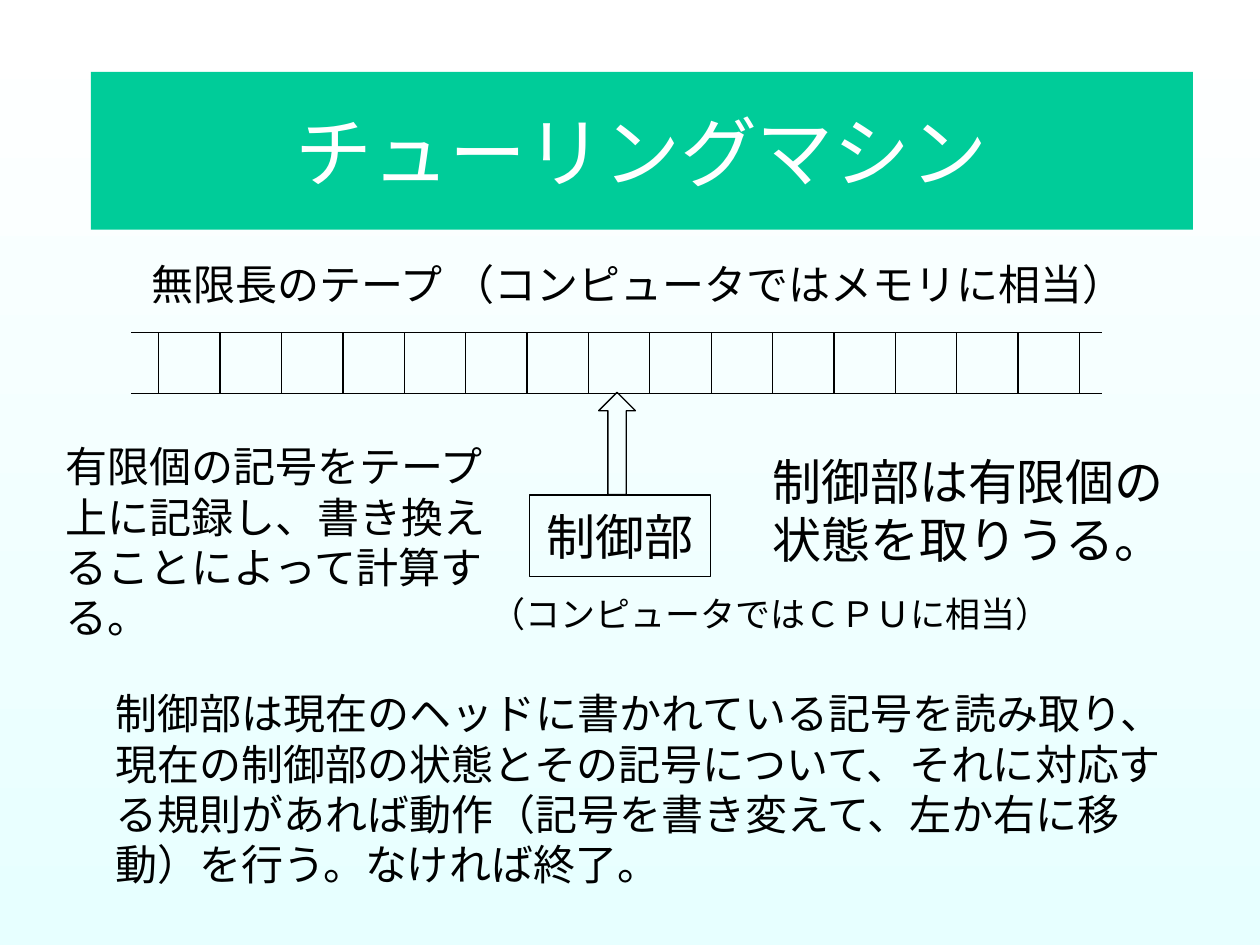
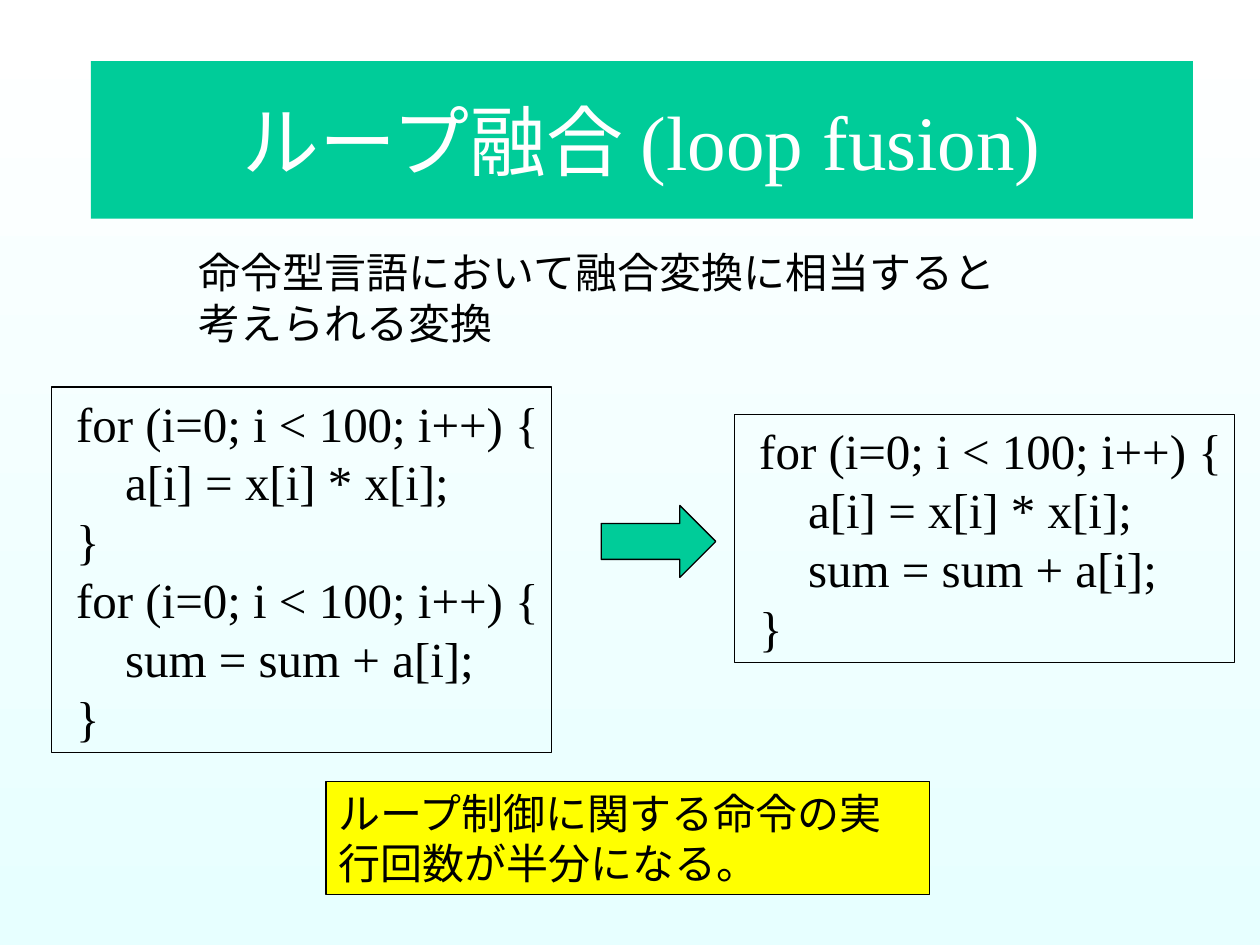
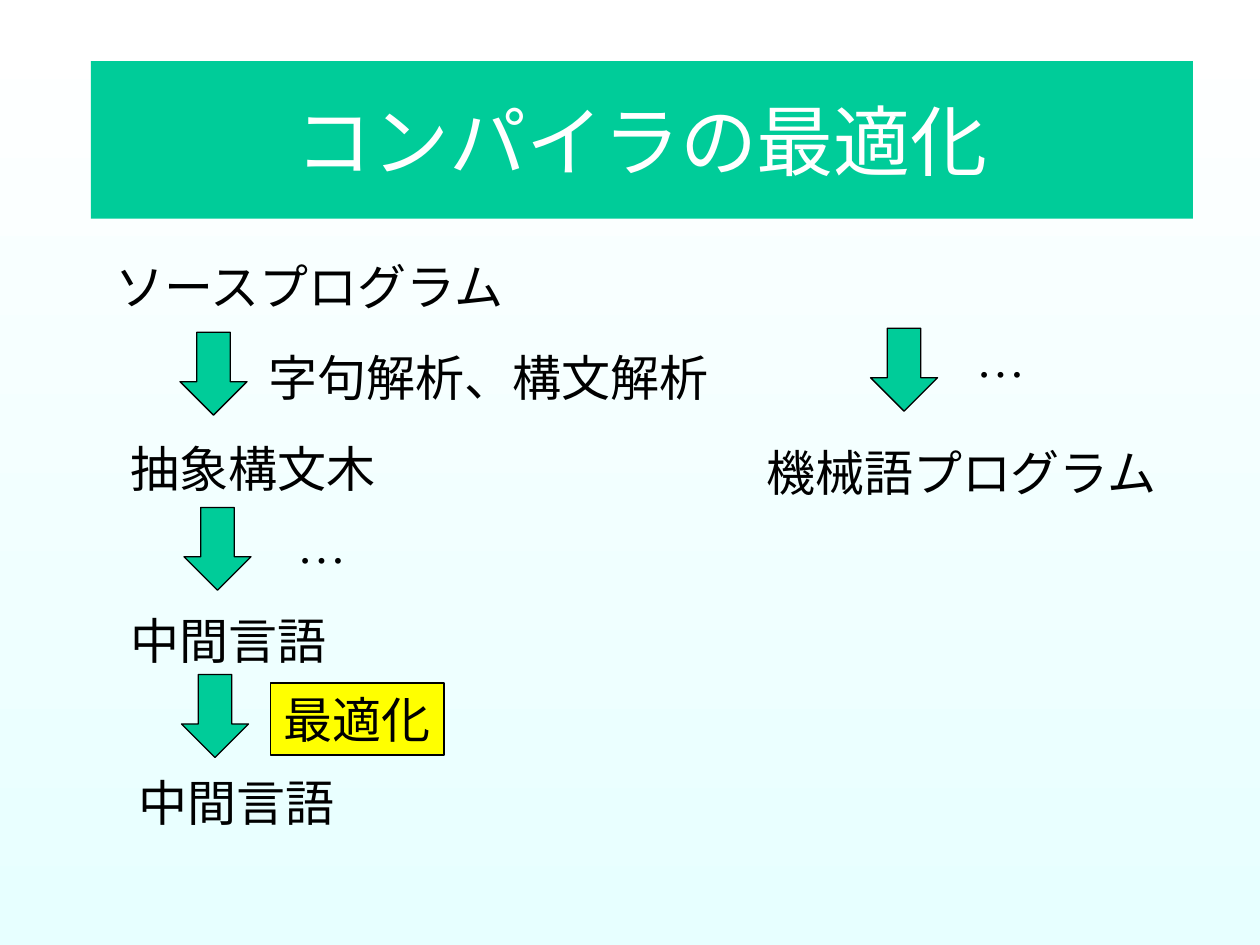
from lxml.etree import SubElement
from pptx import Presentation
from pptx.dml.color import RGBColor
from pptx.enum.lang import MSO_LANGUAGE_ID
from pptx.enum.shapes import MSO_CONNECTOR, MSO_SHAPE
from pptx.enum.text import MSO_ANCHOR, MSO_AUTO_SIZE, PP_ALIGN
from pptx.oxml.ns import qn
from pptx.util import Cm, Pt

FONT = "Times New Roman"
BLACK, WHITE, GREEN, YELLOW = "000000", "FFFFFF", "00CC99", "FFFF00"
BACKGROUND = (WHITE, "E7FFFF")
LINE_WIDTH = Pt(0.75)

# Content: lengths in cm; texts are (lines, (left, top, width, height), size, wrap)
MACHINE_TITLE = "チューリングマシン"
MACHINE_TEXTS = [
    (["制御部は現在のヘッドに書かれている記号を読み取り、現在の制御部の状態とその記号について、"
      "それに対応する規則があれば動作（記号を書き変えて、左か右に移動）を行う。なければ終了。"],
     (2.08, 13.74, 21.92, 4.32), 24, True),
    (["制御部は有限個の", "状態を取りうる。"], (15.32, 8.97, 8.45, 2.64), 28, False),
    (["有限個の記号をテープ上に記録し、書き換えることによって計算する。"],
     (1.07, 8.76, 9.32, 4.32), 24, True),
    (["（コンピュータではＣＰＵに相当）"], (9.63, 11.81, 11.9, 1.12), 20, False),
    (["無限長のテープ （コンピュータではメモリに相当）"], (2.8, 5.08, 20.25, 1.27), 24, False),
]
CONTROL_UNIT = (["制御部"], (10.67, 9.98, 3.66, 1.65), 28)
HEAD_ARROW = (12.07, 7.91, 0.74, 2.06)
TAPE_LEFT, TAPE_RIGHT, TAPE_TOP, TAPE_BOTTOM = 2.65, 22.21, 6.7, 7.93
FIRST_DIVIDER, LAST_DIVIDER, DIVIDERS = 3.2, 21.76, 16

FUSION_TITLE = "ループ融合 (loop fusion)"
LOOP_START, SQUARE, ADD, LOOP_END = (
    " for (i=0; i < 100; i++) {", "     a[i] = x[i] * x[i];", "     sum = sum + a[i];", " }")
FUSION_TEXT = (["命令型言語において融合変換に相当すると", "考えられる変換"],
               (3.76, 4.85, 16.65, 2.29), 24, False)
CODE_BOXES = [
    ([LOOP_START, SQUARE, LOOP_END, LOOP_START, ADD, LOOP_END], (1.04, 7.8, 10.08, 7.37)),
    ([LOOP_START, SQUARE, ADD, LOOP_END], (14.81, 8.36, 10.08, 5)),
]
FUSION_ARROW = (12.12, 10.19, 2.31, 1.45)
FUSION_NOTE = (["ループ制御に関する命令の実行回数が半分になる。"], (6.57, 15.75, 12.17, 2.29), 24, True)

COMPILER_TITLE = "コンパイラの最適化"
COMPILER_LABELS = [  # text, left, top, width
    ("ソースプログラム", 2.08, 5.05, 8.45),
    ("字句解析、構文解析", 5.16, 6.88, 9.45),
    ("抽象構文木", 2.39, 8.71, 5.5),
    ("…", 5.74, 10.24, 1.55),
    ("中間言語", 2.39, 12.19, 4.5),
    ("中間言語", 2.54, 15.44, 4.5),
    ("…", 19.43, 6.5, 1.55),
    ("機械語プログラム", 15.2, 8.79, 8.45),
]
STEP_ARROWS = [(3.63, 6.7), (3.71, 10.23), (3.66, 13.6), (17.55, 6.62)]
STEP_ARROW_SIZE = (1.35, 1.67)
OPTIMIZATION = (["最適化"], (5.46, 13.77, 3.49, 1.45), 28, False)


def color(value):
    return RGBColor.from_string(value)


def cm(*lengths):
    return [Cm(length) for length in lengths]


def write(shape, lines, size, font_color=BLACK, alignment=PP_ALIGN.LEFT):
    frame = shape.text_frame
    frame.text = "\n".join(lines)
    for paragraph in frame.paragraphs:
        paragraph.alignment = alignment
        paragraph.font.name = FONT
        paragraph.font.size = Pt(size)
        paragraph.font.color.rgb = color(font_color)
        paragraph.font.language_id = MSO_LANGUAGE_ID.JAPANESE


def fit(shape, wrap):
    shape.text_frame.word_wrap = wrap
    shape.text_frame.auto_size = MSO_AUTO_SIZE.SHAPE_TO_FIT_TEXT
    shape.text_frame.vertical_anchor = MSO_ANCHOR.TOP


def add_text(slide, lines, box, size, wrap):
    shape = slide.shapes.add_textbox(*cm(*box))
    write(shape, lines, size)
    fit(shape, wrap)


def add_outlined(slide, kind, box, fill=None):
    shape = slide.shapes.add_shape(kind, *cm(*box))
    shape.shadow.inherit = False
    if fill:
        shape.fill.solid()
        shape.fill.fore_color.rgb = color(fill)
    else:
        shape.fill.background()
    shape.line.color.rgb = color(BLACK)
    shape.line.width = LINE_WIDTH
    return shape


def add_text_box(slide, lines, box, size, wrap, fill=None):
    shape = add_outlined(slide, MSO_SHAPE.RECTANGLE, box, fill)
    write(shape, lines, size)
    fit(shape, wrap)


def add_line(slide, *ends):
    line = slide.shapes.add_connector(MSO_CONNECTOR.STRAIGHT, *cm(*ends))
    line.line.color.rgb = color(BLACK)
    line.line.width = LINE_WIDTH
    SubElement(line._element.spPr, qn("a:effectLst"))


def add_slide(presentation, title_text, title_top=1.23):
    slide = presentation.slides.add_slide(presentation.slide_layouts[5])
    title = slide.shapes.title
    title.left, title.top, title.width, title.height = cm(1.83, title_top, 22.22, 3.18)
    title.fill.solid()
    title.fill.fore_color.rgb = color(GREEN)
    write(title, [title_text], 44, WHITE, PP_ALIGN.CENTER)
    title.text_frame.vertical_anchor = MSO_ANCHOR.MIDDLE
    return slide


def set_background(presentation):
    fill = presentation.slide_master.background.fill
    fill.gradient()
    fill.gradient_angle = 270
    for stop, value in zip(fill.gradient_stops, BACKGROUND):
        stop.color.rgb = color(value)


def build_machine(presentation):
    slide = add_slide(presentation, MACHINE_TITLE, 1.45)
    # Tape
    for y in (TAPE_TOP, TAPE_BOTTOM):
        add_line(slide, TAPE_LEFT, y, TAPE_RIGHT, y)
    step = (LAST_DIVIDER - FIRST_DIVIDER) / (DIVIDERS - 1)
    for index in range(DIVIDERS):
        x = FIRST_DIVIDER + index * step
        add_line(slide, x, TAPE_TOP, x, TAPE_BOTTOM)
    # Control unit and head
    lines, box, size = CONTROL_UNIT
    unit = add_outlined(slide, MSO_SHAPE.RECTANGLE, box)
    write(unit, lines, size, alignment=PP_ALIGN.CENTER)
    unit.text_frame.vertical_anchor = MSO_ANCHOR.MIDDLE
    add_outlined(slide, MSO_SHAPE.UP_ARROW, HEAD_ARROW)
    # Explanations
    for text in MACHINE_TEXTS:
        add_text(slide, *text)


def build_fusion(presentation):
    slide = add_slide(presentation, FUSION_TITLE)
    add_text(slide, *FUSION_TEXT)
    for lines, box in CODE_BOXES:
        add_text_box(slide, lines, box, 28, False)
    add_outlined(slide, MSO_SHAPE.RIGHT_ARROW, FUSION_ARROW, GREEN)
    add_text_box(slide, *FUSION_NOTE, fill=YELLOW)


def build_compiler(presentation):
    slide = add_slide(presentation, COMPILER_TITLE)
    for text, left, top, width in COMPILER_LABELS:
        add_text(slide, [text], (left, top, width, 1.45), 28, False)
    for position in STEP_ARROWS:
        add_outlined(slide, MSO_SHAPE.DOWN_ARROW, position + STEP_ARROW_SIZE, GREEN)
    add_text_box(slide, *OPTIMIZATION, fill=YELLOW)


def main():
    presentation = Presentation()
    presentation.slide_width, presentation.slide_height = cm(25.4, 19.05)
    set_background(presentation)
    build_machine(presentation)
    build_fusion(presentation)
    build_compiler(presentation)
    presentation.save("out.pptx")


if __name__ == "__main__":
    main()
